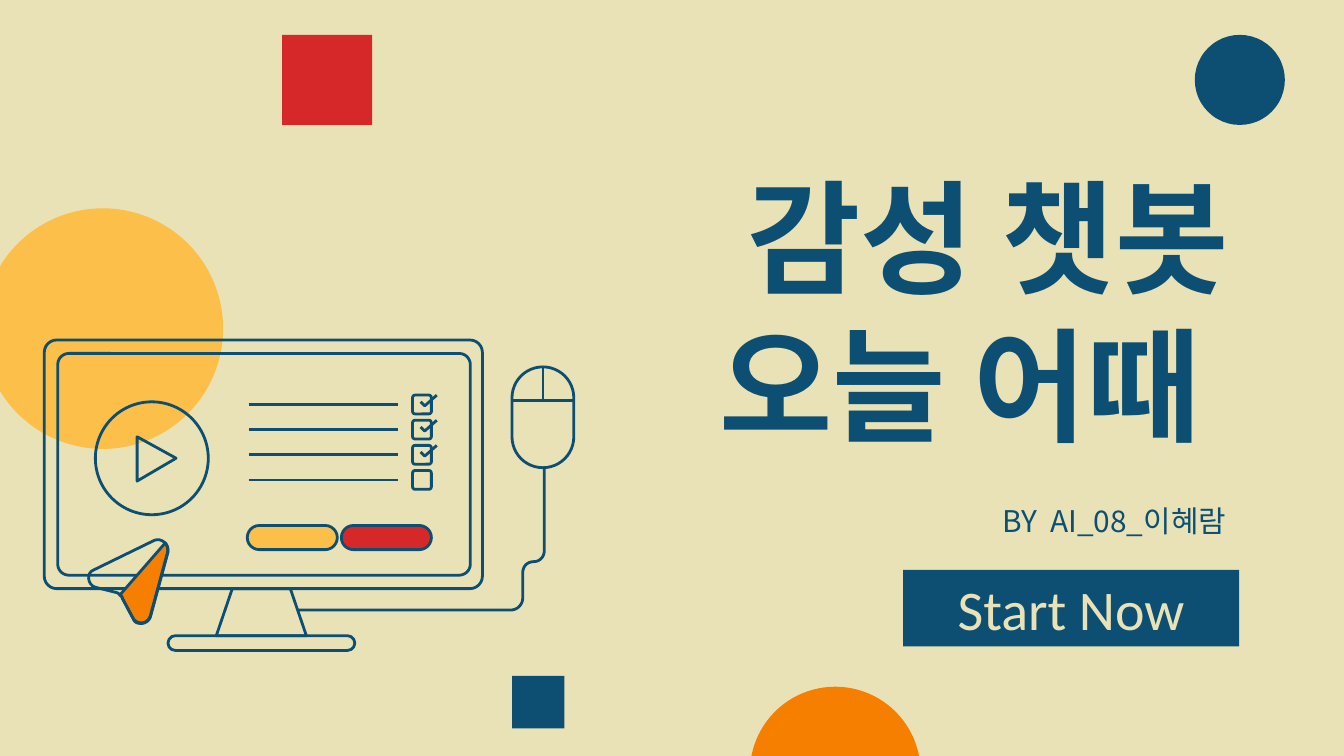
from lxml import etree
from pptx import Presentation
from pptx.dml.color import RGBColor
from pptx.enum import shapes, text
from pptx.oxml.ns import qn
from pptx.util import Inches, Pt

THEME = {
    "sand": "EAE2B7", "navy": "0C4F72", "red": "D62828",
    "orange": "F77F00", "yellow": "FCBF49",
    "korean": "Noto Sans CJK KR", "latin": "Calibri",
    "title": 66, "title_pitch": 79.2, "byline": 16, "button": 30, "stroke": 1.5,
}
KIND = shapes.MSO_SHAPE
ALIGN = text.PP_ALIGN
ANCHOR = text.MSO_ANCHOR

TITLE = "감성 챗봇\v오늘 어때 "  # \v is a line break
BYLINE = "BY  AI_08_이혜람"
BUTTON = "Start Now"

# kind, (left, top, width, height), fill
DECORATIONS = [
    (KIND.OVAL, (5.58, 5.11, 1.27, 1.27), "orange"),
    (KIND.RECTANGLE, (2.1, 0.26, 0.67, 0.67), "red"),
    (KIND.RECTANGLE, (3.81, 5.03, 0.39, 0.39), "navy"),
    (KIND.OVAL, (8.89, 0.26, 0.67, 0.67), "navy"),
    (KIND.OVAL, (-0.13, 1.55, 1.79, 1.79), "yellow"),
]
# kind, (left, top, width, height), fill, adjustment
MONITOR = [
    (KIND.TRAPEZOID, (1.61, 4.38, 0.67, 0.35), None, 0.34),
    (KIND.ROUNDED_RECTANGLE, (0.43, 2.63, 3.07, 1.65), None, 0.05),
    (KIND.ROUNDED_RECTANGLE, (0.33, 2.53, 3.26, 1.85), None, 0.05),
    (KIND.ROUNDED_RECTANGLE, (1.25, 4.73, 1.39, 0.11), None, 0.5),
    (KIND.OVAL, (0.71, 2.99, 0.84, 0.84), None, None),
    (KIND.ROUNDED_RECTANGLE, (2.54, 3.91, 0.67, 0.18), "red", 0.5),
    (KIND.ROUNDED_RECTANGLE, (1.84, 3.91, 0.67, 0.18), "yellow", 0.5),
    (KIND.ROUNDED_RECTANGLE, (3.81, 2.73, 0.46, 0.75), None, 0.5),
]
MOUSE_SEAMS = [(3.81, 2.98, 4.27, 2.98), (4.04, 2.73, 4.04, 2.97)]
TASKS = {"top": 2.94, "pitch": 0.187, "done": [True, True, True, False]}

# Outlines: a pair is a corner, three pairs are a Bézier curve
PLAY = [(1.31, 3.41), (1.02, 3.25), (1.02, 3.58)]
CURSOR_WING = [
    (1.23, 4.04), ((1.24, 4.05), (1.25, 4.08), (1.25, 4.11)), (1.12, 4.59),
    ((1.11, 4.62), (1.08, 4.64), (1.05, 4.64)),
    ((1.02, 4.64), (1, 4.63), (0.99, 4.6)), (0.91, 4.45),
    ((0.91, 4.44), (0.9, 4.43), (0.89, 4.43)),
]
CURSOR = [
    (0.7, 4.24), (1.15, 4.02), ((1.2, 4), (1.26, 4.05), (1.25, 4.1)), (1.12, 4.58),
    ((1.1, 4.65), (1.02, 4.65), (0.99, 4.6)), (0.91, 4.45),
    ((0.91, 4.44), (0.9, 4.43), (0.89, 4.42)),
    ((0.88, 4.42), (0.88, 4.41), (0.87, 4.41)), (0.71, 4.37),
    ((0.65, 4.35), (0.64, 4.26), (0.7, 4.24)),
]
CABLE = [
    (4.05, 3.48), (4.05, 4.1), ((4.05, 4.14), (4.02, 4.18), (3.97, 4.18)),
    ((3.92, 4.18), (3.89, 4.22), (3.89, 4.26)), (3.89, 4.45),
    ((3.89, 4.5), (3.85, 4.54), (3.8, 4.54)), (2.22, 4.54),
]


def color(name):
    return RGBColor.from_string(THEME[name])


def paint(shape, fill=None, stroked=True):
    shape.shadow.inherit = False
    if fill:
        shape.fill.solid()
        shape.fill.fore_color.rgb = color(fill)
    else:
        shape.fill.background()
    if stroked:
        shape.line.color.rgb = color("navy")
        shape.line.width = Pt(THEME["stroke"])
    else:
        shape.line.fill.background()


def add_preset(page, kind, place, fill=None, adjustment=None, stroked=True):
    shape = page.shapes.add_shape(kind, *map(Inches, place))
    if adjustment is not None:
        shape.adjustments[0] = adjustment
    paint(shape, fill, stroked)
    return shape


def add_line(page, *ends):
    line = page.shapes.add_connector(shapes.MSO_CONNECTOR.STRAIGHT, *map(Inches, ends))
    line.line.color.rgb = color("navy")
    line.line.width = Pt(THEME["stroke"])
    etree.SubElement(line._element.spPr, qn("a:effectLst"))


def flatten(outline, steps=8):
    """Return the outline's points, with each curve cut into short chords."""
    points = []
    for part in outline:
        if len(part) == 2:
            points.append(part)
            continue
        controls = (points[-1], *part)
        for step in range(1, steps + 1):
            t = step / steps
            weights = ((1 - t) ** 3, 3 * t * (1 - t) ** 2, 3 * t * t * (1 - t), t ** 3)
            points.append(tuple(
                sum(w * p[axis] for w, p in zip(weights, controls)) for axis in (0, 1)))
    return points


def add_outline(page, outline, fill=None, close=True):
    points = [(Inches(x), Inches(y)) for x, y in flatten(outline)]
    builder = page.shapes.build_freeform(*points[0])
    builder.add_line_segments(points[1:], close=close)
    paint(builder.convert_to_shape(), fill)


def write(box, words, size, font, ink, align, anchor, bold=False, pitch=None):
    frame = box.text_frame
    frame.word_wrap = True
    frame.auto_size = text.MSO_AUTO_SIZE.NONE
    frame.vertical_anchor = anchor
    frame.margin_left = frame.margin_right = Inches(0.1)
    frame.margin_top = frame.margin_bottom = Inches(0.1)
    para = frame.paragraphs[0]
    para.text = words
    para.alignment = align
    para.space_before = Pt(0)
    if pitch:
        para.line_spacing = Pt(pitch)
    para.font.size = Pt(THEME[size])
    para.font.bold = bold
    para.font.name = THEME[font]
    para.font.color.rgb = color(ink)
    east_asian = etree.SubElement(para.font._element, qn("a:ea"))
    east_asian.set("typeface", THEME[font])


def add_tasks(page):
    for row, done in enumerate(TASKS["done"]):
        top = TASKS["top"] + row * TASKS["pitch"]
        add_preset(page, KIND.ROUNDED_RECTANGLE, (3.07, top, 0.14, 0.14), None, 0.13)
        add_line(page, 1.85, top + 0.07, 2.96, top + 0.07)
        if done:
            tick = [(3.13, top + 0.05), (3.16, top + 0.08), (3.25, top)]
            add_outline(page, tick, close=False)


def main():
    deck = Presentation()
    deck.slide_width = Inches(10)
    deck.slide_height = deck.slide_width * 9 // 16
    page = deck.slides.add_slide(deck.slide_layouts[5])
    page.background.fill.solid()
    page.background.fill.fore_color.rgb = color("sand")

    for kind, place, fill in DECORATIONS:
        add_preset(page, kind, place, fill, stroked=False)

    title = page.shapes.title
    title.left, title.top, title.width, title.height = map(Inches, (4.27, 0.68, 4.97, 2.82))
    write(title, TITLE, "title", "korean", "navy", ALIGN.RIGHT, ANCHOR.BOTTOM,
          bold=True, pitch=THEME["title_pitch"])
    byline = page.shapes.add_textbox(*map(Inches, (4.25, 3.64, 4.97, 0.47)))
    write(byline, BYLINE, "byline", "korean", "navy", ALIGN.RIGHT, ANCHOR.MIDDLE)

    for part in MONITOR:
        add_preset(page, *part)
    add_tasks(page)
    add_outline(page, PLAY)
    add_outline(page, CURSOR_WING, "orange")
    add_outline(page, CURSOR)
    for seam in MOUSE_SEAMS:
        add_line(page, *seam)
    add_outline(page, CABLE, close=False)

    button = add_preset(page, KIND.RECTANGLE, (6.72, 4.24, 2.5, 0.57), "navy", stroked=False)
    write(button, BUTTON, "button", "latin", "sand", ALIGN.CENTER, ANCHOR.MIDDLE)
    deck.save("out.pptx")


if __name__ == "__main__":
    main()
